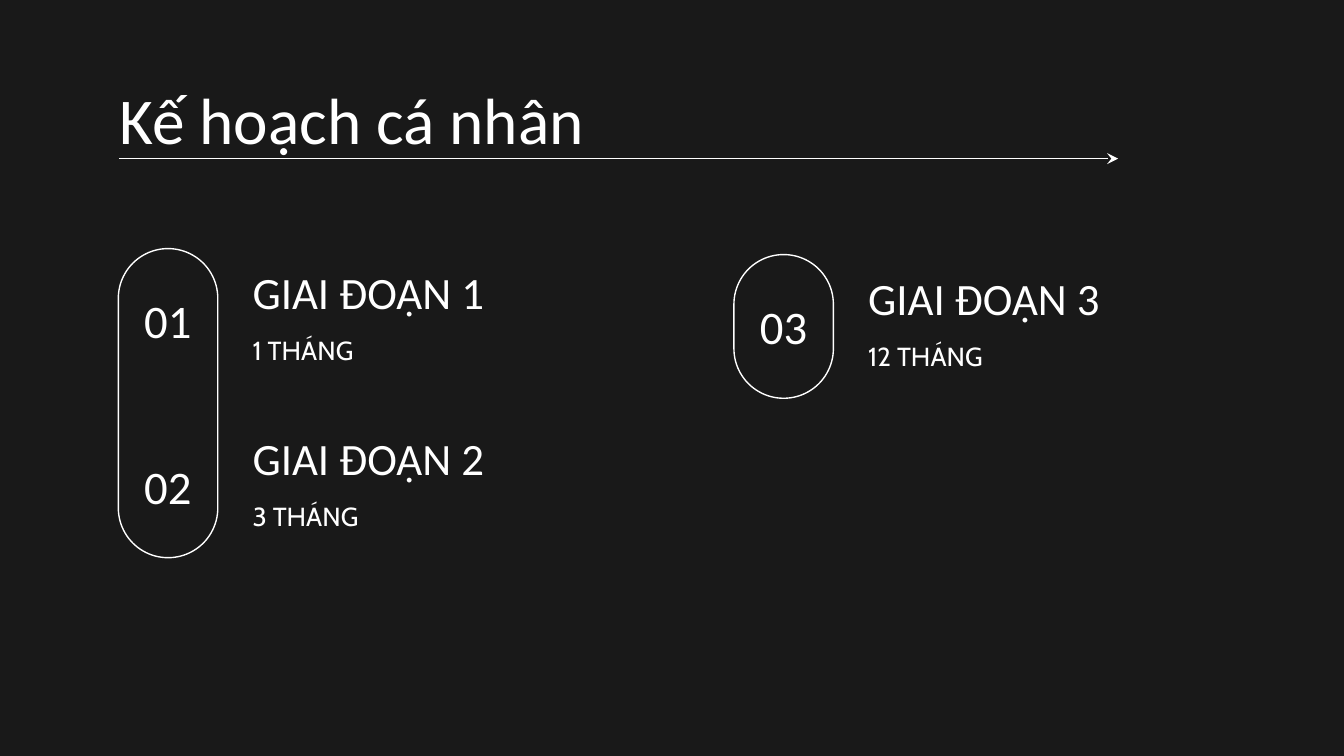
import pptx
import pptx.dml.color
import pptx.enum.shapes
import pptx.enum.text
import pptx.oxml
import pptx.oxml.ns
import pptx.util

Pt = pptx.util.Pt
ALIGN = pptx.enum.text.PP_ALIGN
ANCHOR = pptx.enum.text.MSO_ANCHOR

BACKGROUND = pptx.dml.color.RGBColor(0x19, 0x19, 0x19)
WHITE = pptx.dml.color.RGBColor(0xFF, 0xFF, 0xFF)
HEADING_FONT = "Calibri"
BODY_FONT = "Cabin"

# Top-left corner of each stage; stages 1 and 2 share a pill
LEFT, TOP = 63.4, 133.2
ROW_STEP = 88.8
COLUMN_STEP, COLUMN_DROP = 329.8, 3.2
PILL_WIDTH, SINGLE_HEIGHT, DOUBLE_HEIGHT = 53.3, 77, 165.6

STAGES = [
    ("01", "GIAI ĐOẠN 1", "1 THÁNG", LEFT, TOP),
    ("02", "GIAI ĐOẠN 2", "3 THÁNG", LEFT, TOP + ROW_STEP),
    ("03", "GIAI ĐOẠN 3", "12 THÁNG", LEFT + COLUMN_STEP, TOP + COLUMN_DROP),
]


def write_text(holder, text, size, font, anchor, align=ALIGN.LEFT):
    frame = holder.text_frame
    frame.word_wrap = True
    frame.auto_size = pptx.enum.text.MSO_AUTO_SIZE.NONE
    frame.vertical_anchor = anchor
    frame.margin_left = frame.margin_right = Pt(7.2)
    frame.margin_top = frame.margin_bottom = Pt(7.2)
    paragraph = frame.paragraphs[0]
    paragraph.alignment = align
    run = paragraph.add_run()
    run.text = text
    run.font.size = Pt(size)
    run.font.name = font
    run.font.color.rgb = WHITE


def add_label(slide, left, top, width, height, *style):
    label = slide.shapes.add_textbox(Pt(left), Pt(top), Pt(width), Pt(height))
    write_text(label, *style)


def add_title(slide, text):
    title = slide.shapes.title
    title.left, title.top = Pt(56.9), Pt(35.3)
    title.width, title.height = Pt(607), Pt(45.4)
    write_text(title, text, 35, HEADING_FONT, ANCHOR.TOP)


def add_arrow(slide, start, end, y):
    arrow = slide.shapes.add_connector(
        pptx.enum.shapes.MSO_CONNECTOR.STRAIGHT, Pt(start), Pt(y), Pt(end), Pt(y))
    arrow.line.color.rgb = WHITE
    arrow.line.width = Pt(0.75)
    qn = pptx.oxml.ns.qn
    head = arrow.line._get_or_add_ln().makeelement(qn("a:tailEnd"), {"type": "stealth"})
    arrow.line._get_or_add_ln().append(head)
    properties = arrow._element.spPr
    properties.append(properties.makeelement(qn("a:effectLst"), {}))


def add_pill(slide, left, top, height):
    pill = slide.shapes.add_shape(
        pptx.enum.shapes.MSO_SHAPE.ROUNDED_RECTANGLE,
        Pt(left), Pt(top), Pt(PILL_WIDTH), Pt(height))
    pill.adjustments[0] = 0.5
    pill.shadow.inherit = False
    pill.fill.background()
    pill.line.color.rgb = WHITE
    pill.line.width = Pt(0.75)


def add_stage(slide, number, name, duration, left, top):
    add_label(slide, left + 2.8, top + 14.6, 47.5, 46.8,
              number, 25, HEADING_FONT, ANCHOR.MIDDLE, ALIGN.CENTER)
    add_label(slide, left + 64.8, top - 0.7, 226.8, 45.4,
              name, 24, HEADING_FONT, ANCHOR.BOTTOM)
    add_label(slide, left + 64.8, top + 38.8, 226.8, 38.2,
              duration, 14, BODY_FONT, ANCHOR.TOP)


def main():
    deck = pptx.Presentation()
    deck.slide_width, deck.slide_height = Pt(720), Pt(405)
    slide = deck.slides.add_slide(deck.slide_layouts.get_by_name("Title Only"))
    slide.background.fill.solid()
    slide.background.fill.fore_color.rgb = BACKGROUND

    # Title with its underline arrow
    add_title(slide, "Kế hoạch cá nhân")
    add_arrow(slide, 64, 599, 85)

    # Pills behind the stage numbers
    add_pill(slide, LEFT, TOP, DOUBLE_HEIGHT)
    add_pill(slide, LEFT + COLUMN_STEP, TOP + COLUMN_DROP, SINGLE_HEIGHT)

    # Stages
    for stage in STAGES:
        add_stage(slide, *stage)

    deck.save("out.pptx")


if __name__ == "__main__":
    main()
